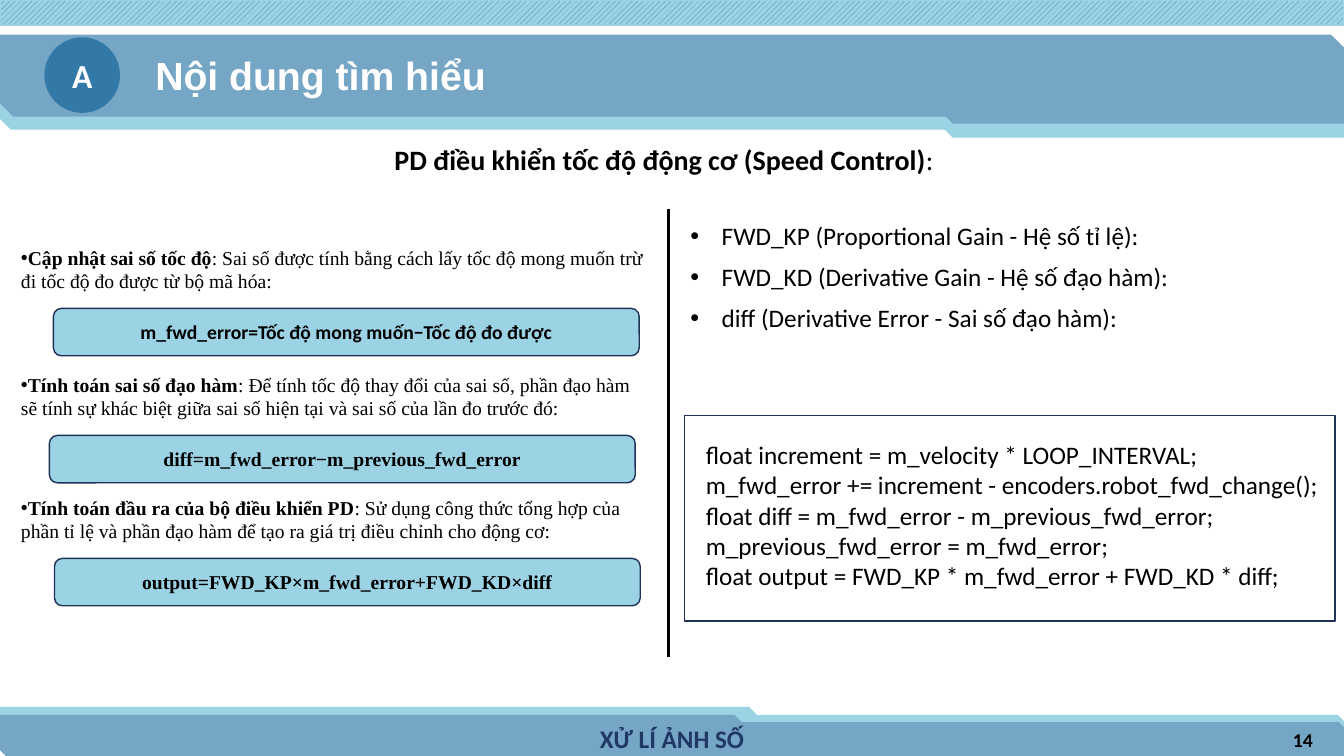
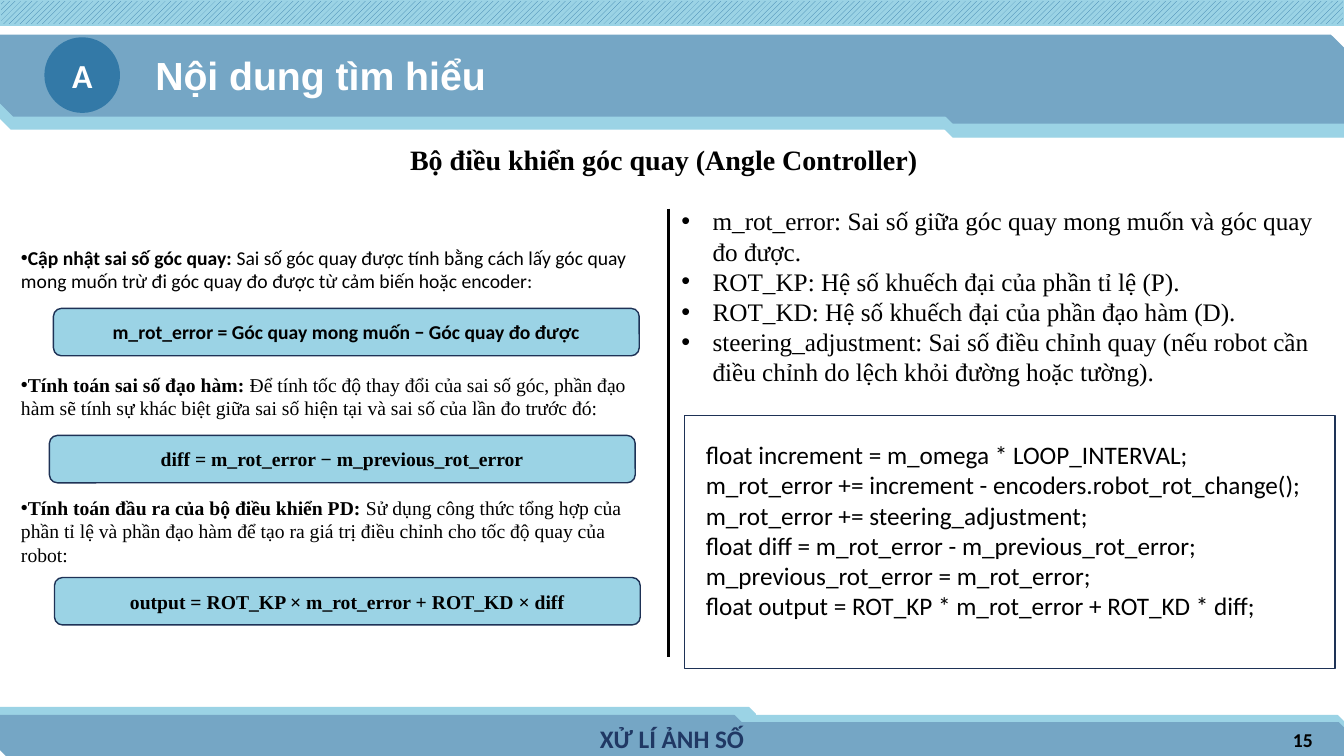
from pptx import Presentation
from pptx import util as u
from pptx.dml.color import RGBColor
from pptx.enum import dml, shapes, text
from pptx.oxml.ns import qn
from lxml import etree

WIDTH, HEIGHT = 13.33, 7.5
SKY, STEEL, BLUE, NAVY = "9BD3E5", "75A6C5", "3379A7", "1E3256"
FOOTER_BLUE, BLACK, WHITE = "203864", "000000", "FFFFFF"
SANS, SERIF, TITLE_FONT = "Calibri", "Times New Roman", "Arial"
INSETS = (0.1, 0.05, 0.1, 0.05)
SHAPE, ALIGN, ANCHOR = shapes.MSO_SHAPE, text.PP_ALIGN, text.MSO_ANCHOR


# Shared helpers
def color(value):
    return RGBColor.from_string(value)


def inches(box):
    return [u.Inches(length) for length in box]


def add_span(para, words, size, font, bold=False, tint=BLACK):
    span = para.add_run()
    span.text = words
    span.font.size, span.font.name, span.font.bold = u.Pt(size), font, bold
    span.font.color.rgb = color(tint)


def set_frame(frame, anchor=ANCHOR.TOP, insets=INSETS):
    frame.word_wrap = True
    frame.auto_size = text.MSO_AUTO_SIZE.NONE
    frame.vertical_anchor = anchor
    (frame.margin_left, frame.margin_top,
     frame.margin_right, frame.margin_bottom) = inches(insets)


def add_para(frame, spans, size, font, first=True, align=ALIGN.LEFT, tint=BLACK):
    """Spans are (words, bold) pairs."""
    para = frame.paragraphs[0] if first else frame.add_paragraph()
    para.alignment = align
    for words, bold in spans:
        add_span(para, words, size, font, bold, tint)
    return para


def add_bullet(para, indent=0):
    props = para._p.get_or_add_pPr()
    props.set("marL", str(u.Inches(indent)))
    props.set("indent", str(-u.Inches(indent)))
    etree.SubElement(props, qn("a:buFont")).set("typeface", "Arial")
    etree.SubElement(props, qn("a:buChar")).set("char", "•")


def add_text(page, box, anchor=ANCHOR.TOP):
    area = page.shapes.add_textbox(*inches(box))
    set_frame(area.text_frame, anchor)
    return area


def add_panel(page, kind, box, fill=None, line=None, weight=1):
    panel = page.shapes.add_shape(kind, *inches(box))
    panel.shadow.inherit = False
    if fill:
        panel.fill.solid()
        panel.fill.fore_color.rgb = color(fill)
    else:
        panel.fill.background()
    if line:
        panel.line.color.rgb = color(line)
        panel.line.width = u.Pt(weight)
    else:
        panel.line.fill.background()
    return panel


# Bands and footer, kept on the layout
def build_layout(layout, page):
    bands = [
        (5.62, 7.1, 7.71, 0.38, SKY, 1),
        (0, 7.02, 7.49, 0.38, SKY, 1),
        (6.23, 7.17, 7.1, 0.33, STEEL, 1),
        (0, 7.1, 7.35, 0.4, STEEL, 1),
        (9.32, 0.58, 4.01, 0.78, SKY, 0.75),
        (0, 0.62, WIDTH, 0.66, SKY, 1),
        (0, 0.35, WIDTH, 0.8, STEEL, 1),
        (9.32, 0.44, 4.01, 0.78, STEEL, 0.75),
    ]
    parts = [add_panel(page, SHAPE.SNIP_2_DIAG_RECTANGLE, box, fill, fill, weight)
             for *box, fill, weight in bands]

    stripe = add_panel(page, SHAPE.RECTANGLE, (0, 0, WIDTH, 0.25), SKY, SKY)
    stripe.fill.patterned()
    stripe.fill.pattern = dml.MSO_PATTERN.WIDE_UPWARD_DIAGONAL
    stripe.fill.fore_color.rgb = color(BLUE)
    stripe.fill.back_color.rgb = color(SKY)

    footer = add_text(page, (4.92, 7.13, 3.49, 0.4), ANCHOR.MIDDLE)
    add_para(footer.text_frame, [("XỬ LÍ ẢNH SỐ", True)], 18, SANS,
             align=ALIGN.CENTER, tint=FOOTER_BLUE)

    for number, part in enumerate(parts + [stripe, footer], start=100):
        part._element.xpath(".//p:cNvPr")[0].set("id", str(number))
        layout.shapes._spTree.append(part._element)


# Title, section badge and page number
def add_header(page, number):
    title = page.shapes.title
    title.left, title.top, title.width, title.height = inches((1.44, 0.46, 4.19, 0.43))
    set_frame(title.text_frame, insets=(0.1,) * 4)
    para = add_para(title.text_frame, [("Nội dung tìm hiểu", True)], 28,
                    TITLE_FONT, tint=WHITE)
    para.line_spacing = 0.9

    badge = add_panel(page, SHAPE.OVAL, (0.44, 0.37, 0.75, 0.75), BLUE)
    set_frame(badge.text_frame, ANCHOR.MIDDLE, (0.1,) * 4)
    add_para(badge.text_frame, [("A", True)], 24, SANS,
             align=ALIGN.CENTER, tint=WHITE)

    corner = add_text(page, (10.12, 7.14, 3, 0.4), ANCHOR.MIDDLE)
    add_para(corner.text_frame, [(str(number), True)], 14, SANS, align=ALIGN.RIGHT)


def add_heading(page, spans, font):
    heading = add_text(page, (3.25, 1.36, 6.67, 0.44))
    add_para(heading.text_frame, spans, 20, font, align=ALIGN.CENTER)


# Left column: explained steps, each with its formula
def add_step(page, box, formula_left, step):
    left, top, width, height = box
    label, detail, font, formula, formula_font = step
    area = add_text(page, box)
    add_bullet(add_para(area.text_frame, [(label, True), (detail, False)], 14, font))

    formula_box = (left + formula_left, top + height + 0.1, 5.81, 0.47)
    panel = add_panel(page, SHAPE.ROUNDED_RECTANGLE, formula_box, SKY, NAVY)
    set_frame(panel.text_frame, ANCHOR.MIDDLE)
    add_para(panel.text_frame, [(formula, True)], 14, formula_font,
             align=ALIGN.CENTER)


def add_steps(page, left, steps, last_height):
    rows = [(2.39, 0.57, 0.42), (3.65, 0.57, 0.38), (4.87, last_height, 0.43)]
    for (top, height, formula_left), step in zip(rows, steps):
        add_step(page, (left, top, 6.45, height), formula_left, step)


def add_divider(page, x, top, bottom):
    divider = page.shapes.add_connector(
        shapes.MSO_CONNECTOR.STRAIGHT, *inches((x, top, x, bottom)))
    divider.line.color.rgb = color(BLACK)
    divider.line.width = u.Pt(1.5)
    etree.SubElement(divider._element.spPr, qn("a:effectLst"))


# Right column: terms above the code
def add_terms(page, box, terms, font, gap):
    area = add_text(page, box)
    for index, term in enumerate(terms):
        para = add_para(area.text_frame, [(term, False)], 18, font, index == 0)
        para.space_after = u.Pt(gap)
        add_bullet(para, 0.31)


def add_code(page, box, lines):
    panel = add_panel(page, SHAPE.RECTANGLE, box, line=NAVY)
    set_frame(panel.text_frame, insets=(0.21, 0.24, 0, 0.05))
    for index, line in enumerate(lines):
        add_para(panel.text_frame, [(line, False)], 18, SANS, index == 0)


def add_controller(page, content):
    add_header(page, content["number"])
    add_heading(page, *content["heading"])
    add_steps(page, 0.11, content["steps"], content["last_height"])
    add_divider(page, 6.63, 2.07, 6.52)
    add_terms(page, *content["terms"])
    add_code(page, (6.79, 4.12, 6.45, content["code_height"]), content["code"])


SPEED = {
    "number": 14,
    "heading": ([("PD điều khiển tốc độ động cơ (Speed Control)", True),
                 (":", False)], SANS),
    "steps": [
        ("Cập nhật sai số tốc độ",
         ": Sai số được tính bằng cách lấy tốc độ mong muốn trừ đi tốc độ đo "
         "được từ bộ mã hóa:", SERIF,
         "m_fwd_error=Tốc độ mong muốn−Tốc độ đo được", SANS),
        ("Tính toán sai số đạo hàm",
         ": Để tính tốc độ thay đổi của sai số, phần đạo hàm sẽ tính sự khác "
         "biệt giữa sai số hiện tại và sai số của lần đo trước đó:", SERIF,
         "diff=m_fwd_error−m_previous_fwd_error", SERIF),
        ("Tính toán đầu ra của bộ điều khiển PD",
         ": Sử dụng công thức tổng hợp của phần tỉ lệ và phần đạo hàm để tạo "
         "ra giá trị điều chỉnh cho động cơ:", SERIF,
         "output=FWD_KP×m_fwd_error+FWD_KD×diff", SERIF),
    ],
    "last_height": 0.57,
    "terms": ((6.75, 2.14, 6.58, 1.22), [
        "FWD_KP (Proportional Gain - Hệ số tỉ lệ):",
        "FWD_KD (Derivative Gain - Hệ số đạo hàm):",
        "diff (Derivative Error - Sai số đạo hàm):",
    ], SANS, 7.5),
    "code_height": 2.04,
    "code": [
        "float increment = m_velocity * LOOP_INTERVAL;",
        "m_fwd_error += increment - encoders.robot_fwd_change();",
        "float diff = m_fwd_error - m_previous_fwd_error;",
        "m_previous_fwd_error = m_fwd_error;",
        "float output = FWD_KP * m_fwd_error + FWD_KD * diff;",
    ],
}

ANGLE = {
    "number": 15,
    "heading": ([("Bộ điều khiển góc quay (Angle Controller)", True)], SERIF),
    "steps": [
        ("Cập nhật sai số góc quay: ",
         "Sai số góc quay được tính bằng cách lấy góc quay mong muốn trừ đi "
         "góc quay đo được từ cảm biến hoặc encoder:", SANS,
         "m_rot_error = Góc quay mong muốn − Góc quay đo được", SANS),
        ("Tính toán sai số đạo hàm: ",
         "Để tính tốc độ thay đổi của sai số góc, phần đạo hàm sẽ tính sự khác "
         "biệt giữa sai số hiện tại và sai số của lần đo trước đó:", SERIF,
         "diff = m_rot_error − m_previous_rot_error", SERIF),
        ("Tính toán đầu ra của bộ điều khiển PD: ",
         "Sử dụng công thức tổng hợp của phần tỉ lệ và phần đạo hàm để tạo ra "
         "giá trị điều chỉnh cho tốc độ quay của robot:", SERIF,
         "output = ROT_KP × m_rot_error + ROT_KD × diff", SERIF),
    ],
    "last_height": 0.76,
    "terms": ((6.66, 1.99, 6.67, 1.92), [
        "m_rot_error: Sai số giữa góc quay mong muốn và góc quay đo được.",
        "ROT_KP: Hệ số khuếch đại của phần tỉ lệ (P).",
        "ROT_KD: Hệ số khuếch đại của phần đạo hàm (D).",
        "steering_adjustment: Sai số điều chỉnh quay (nếu robot cần điều chỉnh "
        "do lệch khỏi đường hoặc tường).",
    ], SERIF, 0),
    "code_height": 2.51,
    "code": [
        "float increment = m_omega * LOOP_INTERVAL;",
        "m_rot_error += increment - encoders.robot_rot_change();",
        "m_rot_error += steering_adjustment;",
        "float diff = m_rot_error - m_previous_rot_error;",
        "m_previous_rot_error = m_rot_error;",
        "float output = ROT_KP * m_rot_error + ROT_KD * diff;",
    ],
}


def main():
    deck = Presentation()
    deck.slide_width, deck.slide_height = inches((WIDTH, HEIGHT))
    layout = deck.slide_layouts[5]
    pages = [deck.slides.add_slide(layout) for _ in range(2)]
    build_layout(layout, pages[0])
    for page, content in zip(pages, (SPEED, ANGLE)):
        add_controller(page, content)
    deck.save("out.pptx")


if __name__ == "__main__":
    main()
